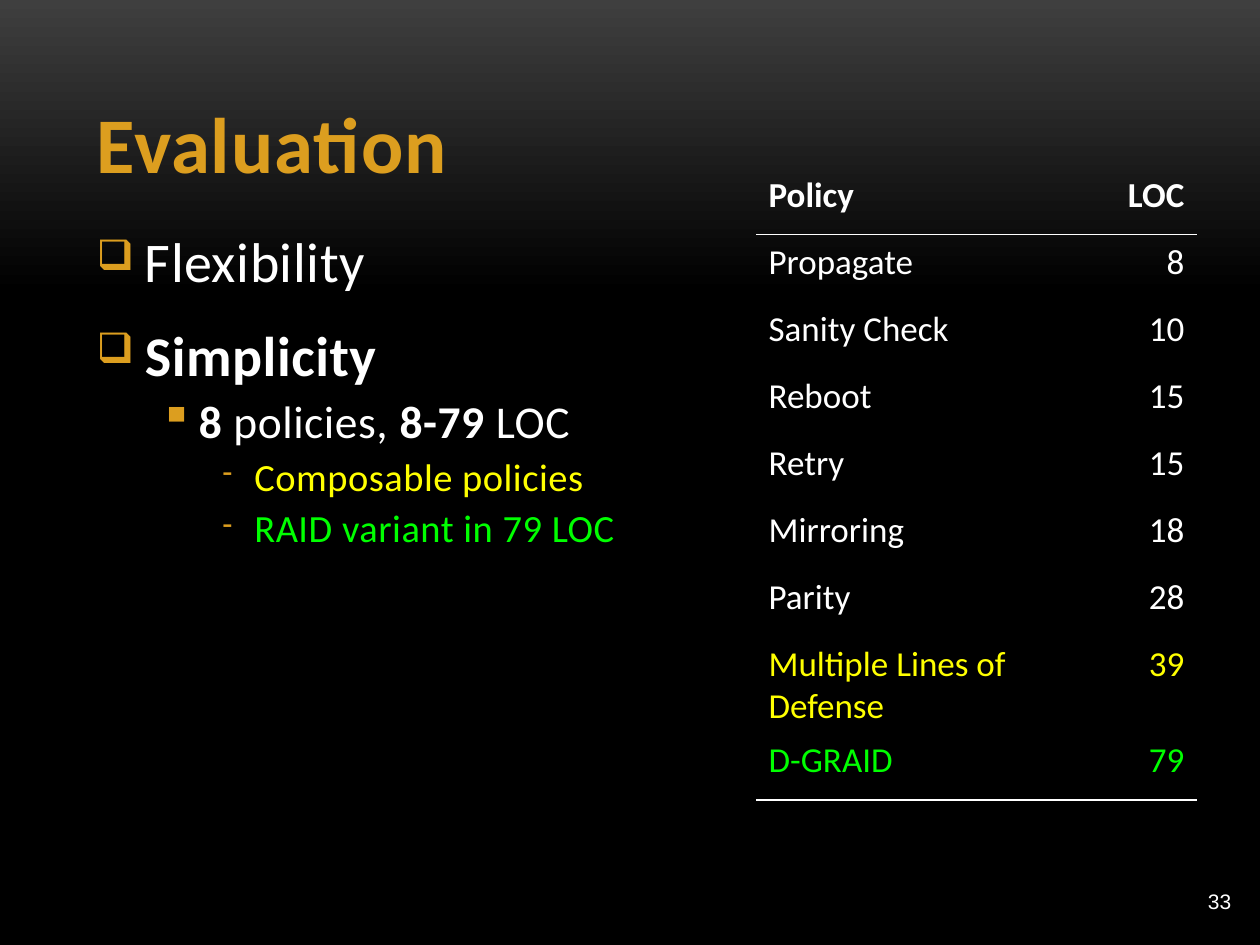
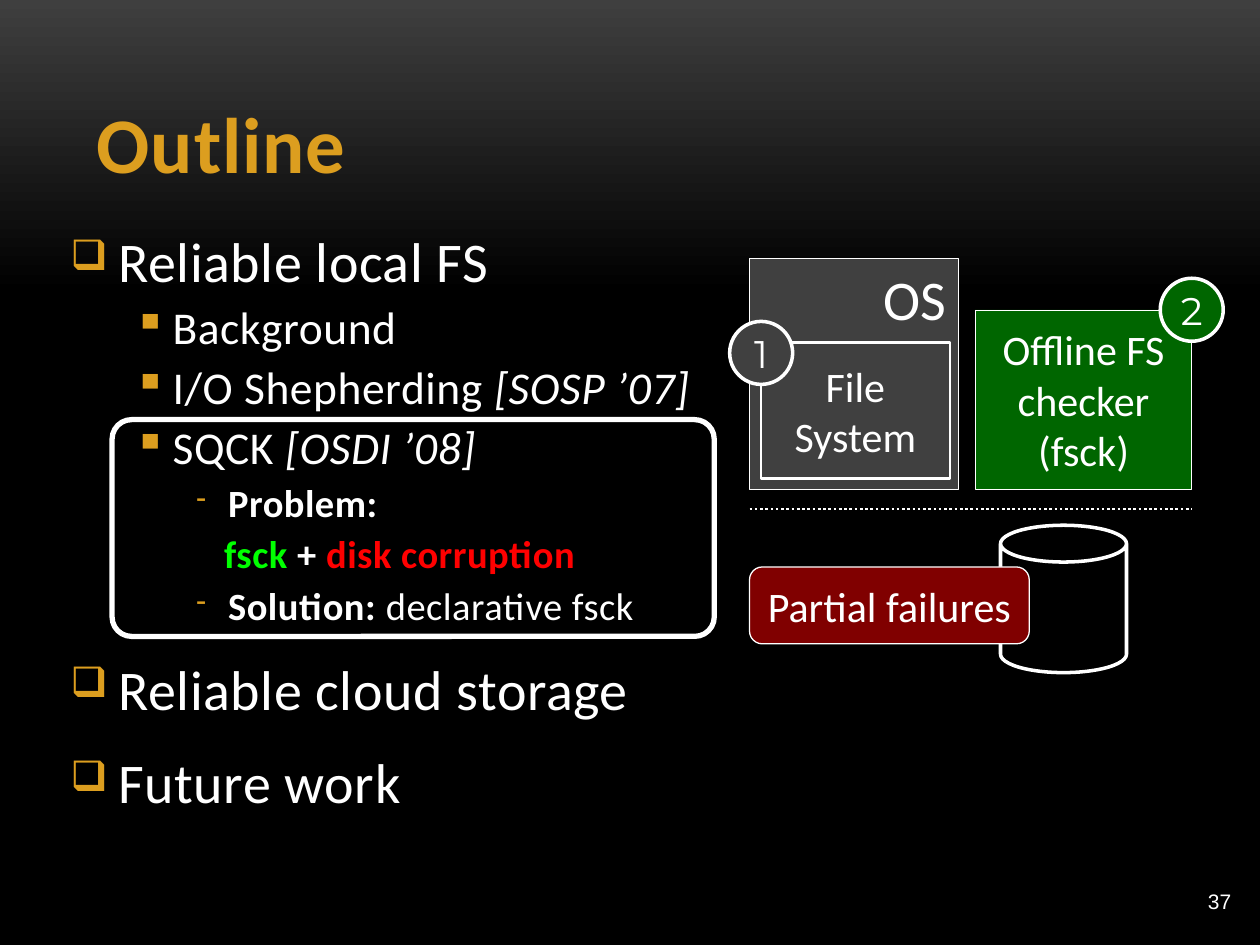
"""Build two slides on file-system reliability: an evaluation table and a talk outline."""
import dataclasses
import typing

import lxml.etree
import pptx
import pptx.dml.color
import pptx.enum.dml
import pptx.enum.shapes
import pptx.enum.text
import pptx.oxml.ns
import pptx.util

Cm = pptx.util.Cm
Pt = pptx.util.Pt
qn = pptx.oxml.ns.qn
Align = pptx.enum.text.PP_ALIGN
Anchor = pptx.enum.text.MSO_ANCHOR
Shape = pptx.enum.shapes.MSO_SHAPE


@dataclasses.dataclass(frozen=True)
class Level:
    depth: int
    size: int
    before: int
    margin: float
    hang: float
    bullet: str = ""
    bullet_percent: int = 75


@dataclasses.dataclass(frozen=True)
class Theme:
    font: str = "Calibri"
    badge_font: str = "Montserrat"
    number_font: str = "Arial"
    gold: str = "DC9E1F"
    white: str = "FFFFFF"
    black: str = "000000"
    glow: str = "3F3F3F"
    gray: str = "404040"
    yellow: str = "FFFF00"
    lime: str = "00FF00"
    red: str = "FF0000"
    green: str = "006600"
    maroon: str = "800000"
    title_size: int = 45
    heading_size: int = 32
    label_size: int = 24
    badge_size: int = 22
    table_size: int = 20
    number_size: int = 12
    topic: Level = Level(0, 32, 15, 0.97, 0.97, "❑")
    point: Level = Level(1, 26, 3, 2.06, 0.79, "▪", 100)
    detail: Level = Level(2, 22, 3, 3.18, 0.64, "-")
    continuation: Level = Level(2, 22, 3, 3.1, 0)


THEME = Theme()


@dataclasses.dataclass(frozen=True)
class Span:
    text: str
    bold: typing.Optional[bool] = None
    italic: typing.Optional[bool] = None
    color: typing.Optional[str] = None


@dataclasses.dataclass(frozen=True)
class Line:
    level: Level
    spans: tuple
    color: str = THEME.white
    bold: bool = False


def rgb(color):
    return pptx.dml.color.RGBColor.from_string(color)


def add_element(parent, tag, **attributes):
    return lxml.etree.SubElement(parent, qn(tag), attributes)


class SlideBuilder:
    NO_TABLE_STYLE = "{2D5ABB26-0587-4C30-8999-92F81FD0307C}"
    BADGE_SIDE = 1.27

    def __init__(self, theme):
        self.theme = theme
        self.page = None
        self.deck = pptx.Presentation()
        self.deck.slide_width, self.deck.slide_height = Cm(25.4), Cm(19.05)
        fill = self.deck.slide_master.background.fill
        fill.gradient()
        fill.gradient_angle = 270
        for stop, color, position in zip(fill.gradient_stops, (theme.glow, theme.black), (0, 0.31)):
            stop.color.rgb = rgb(color)
            stop.position = position

    def style(self, para, size, color=None, bold=False, font=None, spacing=0):
        para.font.name = font or self.theme.font
        para.font.size = Pt(size)
        para.font.bold = bold
        para.font.color.rgb = rgb(color or self.theme.white)
        if spacing:
            para._p.pPr.find(qn("a:defRPr")).set("spc", str(spacing))

    def start(self, title, number):
        self.page = self.deck.slides.add_slide(self.deck.slide_layouts[5])
        box = self.page.shapes.title
        box.left, box.top, box.width, box.height = Cm(1.7), Cm(0.76), Cm(22.02), Cm(3.18)
        box.text_frame.text = title
        box.text_frame.vertical_anchor = Anchor.BOTTOM
        para = box.text_frame.paragraphs[0]
        para.alignment = Align.LEFT
        self.style(para, self.theme.title_size, self.theme.gold, True, spacing=50)

        box = self.page.shapes.add_textbox(Cm(22.33), Cm(17.65), Cm(2.74), Cm(1.02))
        box.text_frame.word_wrap = True
        box.text_frame.vertical_anchor = Anchor.MIDDLE
        para = box.text_frame.paragraphs[0]
        para.text = str(number)
        para.alignment = Align.RIGHT
        self.style(para, self.theme.number_size, font=self.theme.number_font)

    def bullets(self, left, width, height, lines):
        box = self.page.shapes.add_textbox(Cm(left), Cm(4.45), Cm(width), Cm(height))
        frame = box.text_frame
        frame.word_wrap = True
        for index, line in enumerate(lines):
            para = frame.add_paragraph() if index else frame.paragraphs[0]
            level = line.level
            para.level = level.depth
            properties = para._p.get_or_add_pPr()
            properties.set("marL", str(Cm(level.margin)))
            properties.set("indent", str(-Cm(level.hang)))
            if level.bullet:
                tint = add_element(properties, "a:buClr")
                add_element(tint, "a:srgbClr", val=self.theme.gold)
                add_element(properties, "a:buSzPct", val=str(level.bullet_percent * 1000))
                add_element(properties, "a:buChar", char=level.bullet)
            else:
                add_element(properties, "a:buNone")
            para.space_before = Pt(level.before if index else 0)
            self.style(para, level.size, line.color, line.bold, spacing=30)
            for span in line.spans:
                run = para.add_run()
                run.text = span.text
                if span.bold is not None:
                    run.font.bold = span.bold
                if span.italic is not None:
                    run.font.italic = span.italic
                if span.color:
                    run.font.color.rgb = rgb(span.color)

    def table(self, left, top, widths, row_height, rows, colors, ruled_rows):
        frame = self.page.shapes.add_table(
            len(rows), len(widths), Cm(left), Cm(top), Cm(sum(widths)), Cm(row_height * len(rows)))
        table = frame.table
        table.horz_banding = False
        table._tbl.tblPr.find(qn("a:tableStyleId")).text = self.NO_TABLE_STYLE
        for column, width in zip(table.columns, widths):
            column.width = Cm(width)
        for row_index, values in enumerate(rows):
            table.rows[row_index].height = Cm(row_height)
            for column_index, value in enumerate(values):
                cell = table.cell(row_index, column_index)
                cell.fill.background()
                if row_index in ruled_rows:
                    self.rule_below(cell)
                if value:
                    para = cell.text_frame.paragraphs[0]
                    para.text = value
                    para.alignment = Align.RIGHT if column_index else Align.LEFT
                    self.style(para, self.theme.table_size, colors.get(values[0]), row_index == 0)

    def rule_below(self, cell):
        properties = cell._tc.get_or_add_tcPr()
        rule = add_element(properties, "a:lnB", w=str(Pt(1)))
        add_element(add_element(rule, "a:solidFill"), "a:srgbClr", val=self.theme.white)
        properties.insert(0, rule)

    def shape(self, kind, left, top, width, height, line_width, fill=None, adjust=None):
        box = self.page.shapes.add_shape(kind, Cm(left), Cm(top), Cm(width), Cm(height))
        box.shadow.inherit = False
        if fill:
            box.fill.solid()
            box.fill.fore_color.rgb = rgb(fill)
        else:
            box.fill.background()
        box.line.color.rgb = rgb(self.theme.white)
        box.line.width = Pt(line_width)
        if adjust is not None:
            box.adjustments[0] = adjust
        return box

    def label(self, box, texts, size=None, font=None, align=Align.CENTER, anchor=Anchor.MIDDLE):
        frame = box.text_frame
        frame.word_wrap = False
        frame.vertical_anchor = anchor
        for index, text in enumerate(texts):
            para = frame.add_paragraph() if index else frame.paragraphs[0]
            para.text = text
            para.alignment = align
            self.style(para, size or self.theme.label_size, font=font)

    def badge(self, text, left, top, fill):
        circle = self.shape(Shape.OVAL, left, top, self.BADGE_SIDE, self.BADGE_SIDE, 2, fill)
        self.label(circle, [text], self.theme.badge_size, self.theme.badge_font)

    def dotted_line(self, left, right, height):
        line = self.page.shapes.add_connector(
            pptx.enum.shapes.MSO_CONNECTOR.STRAIGHT, Cm(left), Cm(height), Cm(right), Cm(height))
        line.line.color.rgb = rgb(self.theme.white)
        line.line.width = Pt(1.5)
        line.line.dash_style = pptx.enum.dml.MSO_LINE.ROUND_DOT
        add_element(line._element.spPr, "a:effectLst")


def build_evaluation(builder):
    theme = builder.theme
    builder.start("Evaluation", 33)
    builder.bullets(1.7, 12.5, 8.1, [
        Line(theme.topic, (Span("Flexibility"),)),
        Line(theme.topic, (Span("Simplicity"),), bold=True),
        Line(theme.point, (Span("8", bold=True), Span(" policies, "),
                           Span("8-79 ", bold=True), Span("LOC"))),
        Line(theme.detail, (Span("Composable policies"),), theme.yellow),
        Line(theme.detail, (Span("RAID variant in 79 LOC"),), theme.lime),
    ])
    policies = [
        ("Policy", "LOC"), ("Propagate", "8"), ("Sanity Check", "10"), ("Reboot", "15"),
        ("Retry", "15"), ("Mirroring", "18"), ("Parity", "28"),
        ("Multiple Lines of Defense", "39"), ("D-GRAID", "79"), ("", ""),
    ]
    colors = {"Multiple Lines of Defense": theme.yellow, "D-GRAID": theme.lime}
    builder.table(15.24, 3.38, (6.35, 2.54), 1.35, policies, colors, ruled_rows=(0, 8))


def build_outline(builder):
    theme = builder.theme
    builder.start("Outline", 37)
    builder.bullets(1.17, 13.06, 13.2, [
        Line(theme.topic, (Span("Reliable local FS"),)),
        Line(theme.point, (Span("Background"),)),
        Line(theme.point, (Span("I/O Shepherding "), Span("[SOSP ’07]", italic=True))),
        Line(theme.point, (Span("SQCK "), Span("[OSDI ’08]", italic=True))),
        Line(theme.detail, (Span("Problem:"),), bold=True),
        Line(theme.continuation, (Span("fsck", color=theme.lime), Span(" + "),
                                  Span("disk corruption", color=theme.red)), bold=True),
        Line(theme.detail, (Span("Solution: ", bold=True), Span("declarative fsck"))),
        Line(theme.topic, (Span("Reliable cloud storage"),)),
        Line(theme.topic, (Span("Future work"),)),
    ])
    diagram_left, diagram_right = 15.11, 24.03
    builder.shape(Shape.CAN, 20.17, 10.59, 2.54, 2.97, 2, adjust=0.292)
    builder.dotted_line(diagram_left, diagram_right, 10.26)

    checker = builder.shape(Shape.RECTANGLE, 19.66, 6.25, 4.37, 3.61, 0.5, theme.green)
    builder.label(checker, ["Offline FS", "checker", "(fsck)"])
    builder.badge("2", 23.39, 5.61, theme.green)

    system = builder.shape(Shape.RECTANGLE, diagram_left, 5.21, 4.22, 4.65, 0.5, theme.gray)
    builder.label(system, ["OS"], theme.heading_size, align=Align.RIGHT, anchor=Anchor.TOP)
    file_system = builder.shape(Shape.RECTANGLE, 15.34, 6.91, 3.81, 2.74, 1.5, theme.gray)
    builder.label(file_system, ["File", "System"])
    builder.badge("1", 14.71, 6.48, theme.gray)

    failures = builder.shape(
        Shape.ROUNDED_RECTANGLE, diagram_left, 11.43, 5.64, 1.55, 0.75, theme.maroon)
    builder.label(failures, ["Partial failures"])
    builder.shape(Shape.ROUNDED_RECTANGLE, 2.26, 8.46, 12.14, 4.37, 3, adjust=0.09)


def main():
    builder = SlideBuilder(THEME)
    build_evaluation(builder)
    build_outline(builder)
    builder.deck.save("out.pptx")


if __name__ == "__main__":
    main()
